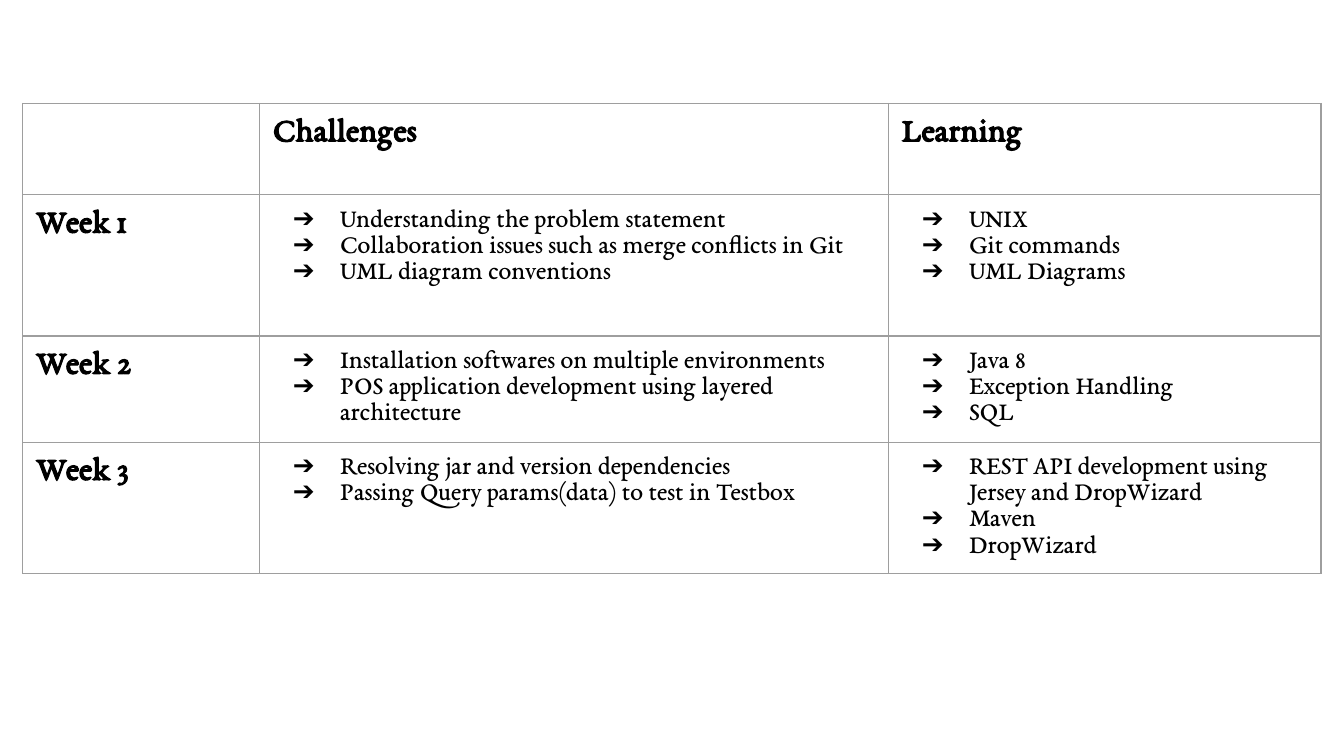
from lxml import etree
from pptx import Presentation
from pptx.dml.color import RGBColor
from pptx.oxml.ns import qn
from pptx.util import Inches, Pt

BLACK = RGBColor(0, 0, 0)
GREY = RGBColor(0x9E, 0x9E, 0x9E)
FACE = "EB Garamond"
WIDE = Inches(10)
SIZE = {"slide_width": WIDE, "slide_height": WIDE * 9 // 16}
HEAD = {"name": FACE, "size": Pt(18), "bold": True}
ITEM = {"name": FACE, "size": Pt(14), "bold": False}
FLAGS = {"first_row": False, "horz_banding": False}
SIDES = ("margin_left", "margin_right", "margin_top", "margin_bottom")
INSET = {side: Inches(0.1) for side in SIDES}
COLS = (1.76, 4.68, 3.22)
ROWS = (0.68, 1.05, 0.79, 0.79)
WEEKS = (
    ("", "Challenges", "Learning"),
    ("Week 1",
     ("Understanding the problem statement",
      "Collaboration issues such as merge conflicts in Git",
      "UML diagram conventions"),
     ("UNIX", "Git commands", "UML Diagrams")),
    ("Week 2",
     ("Installation softwares on multiple environments",
      "POS application development using layered architecture"),
     ("Java 8", "Exception Handling", "SQL")),
    ("Week 3",
     ("Resolving jar and version dependencies",
      "Passing Query params(data) to test in Testbox"),
     ("REST API development using Jersey and DropWizard",
      "Maven", "DropWizard")),
)


def apply(target, values):
    for name, value in values.items():
        setattr(target, name, value)


def add_node(parent, tag, **attrs):
    node = etree.SubElement(parent, qn(tag))
    for name, value in attrs.items():
        node.set(name, str(value))
    return node


def add_fill(parent, color):
    add_node(parent, "a:srgbClr", val=color)


def add_edges(cell):
    props = cell._tc.get_or_add_tcPr()
    for tag in ("a:lnL", "a:lnR", "a:lnT", "a:lnB"):
        line = add_node(props, tag, w=Pt(0.75))
        add_fill(add_node(line, "a:solidFill"), GREY)


def add_arrow(para):
    props = para._p.get_or_add_pPr()
    props.set("marL", str(Inches(0.5)))
    props.set("indent", str(Inches(-0.35)))
    add_fill(add_node(props, "a:buClr"), BLACK)
    add_node(props, "a:buFont", typeface=FACE)
    add_node(props, "a:buChar", char="➔")


def set_font(para, style):
    for item in (para, *para.runs):
        apply(item.font, style)
        item.font.color.rgb = BLACK


def fill_cell(cell, entry):
    add_edges(cell)
    cell.fill.background()
    apply(cell, INSET)
    plain = isinstance(entry, str)
    lines = (entry,) if plain else entry
    cell.text = "\n".join(lines)
    for para in cell.text_frame.paragraphs:
        if not plain:
            add_arrow(para)
        set_font(para, HEAD if plain else ITEM)


def add_grid(slide):
    frame = slide.shapes.add_table(
        len(ROWS), len(COLS), Inches(0.17), Inches(0.77),
        Inches(sum(COLS)), Inches(sum(ROWS)))
    table = frame.table
    apply(table, FLAGS)
    for col, width in zip(table.columns, COLS):
        col.width = Inches(width)
    for row, height, week in zip(table.rows, ROWS, WEEKS):
        row.height = Inches(height)
        for cell, entry in zip(row.cells, week):
            fill_cell(cell, entry)


def main():
    deck = Presentation()
    apply(deck, SIZE)
    slide = deck.slides.add_slide(deck.slide_layouts[6])
    add_grid(slide)
    deck.save("out.pptx")


if __name__ == "__main__":
    main()
